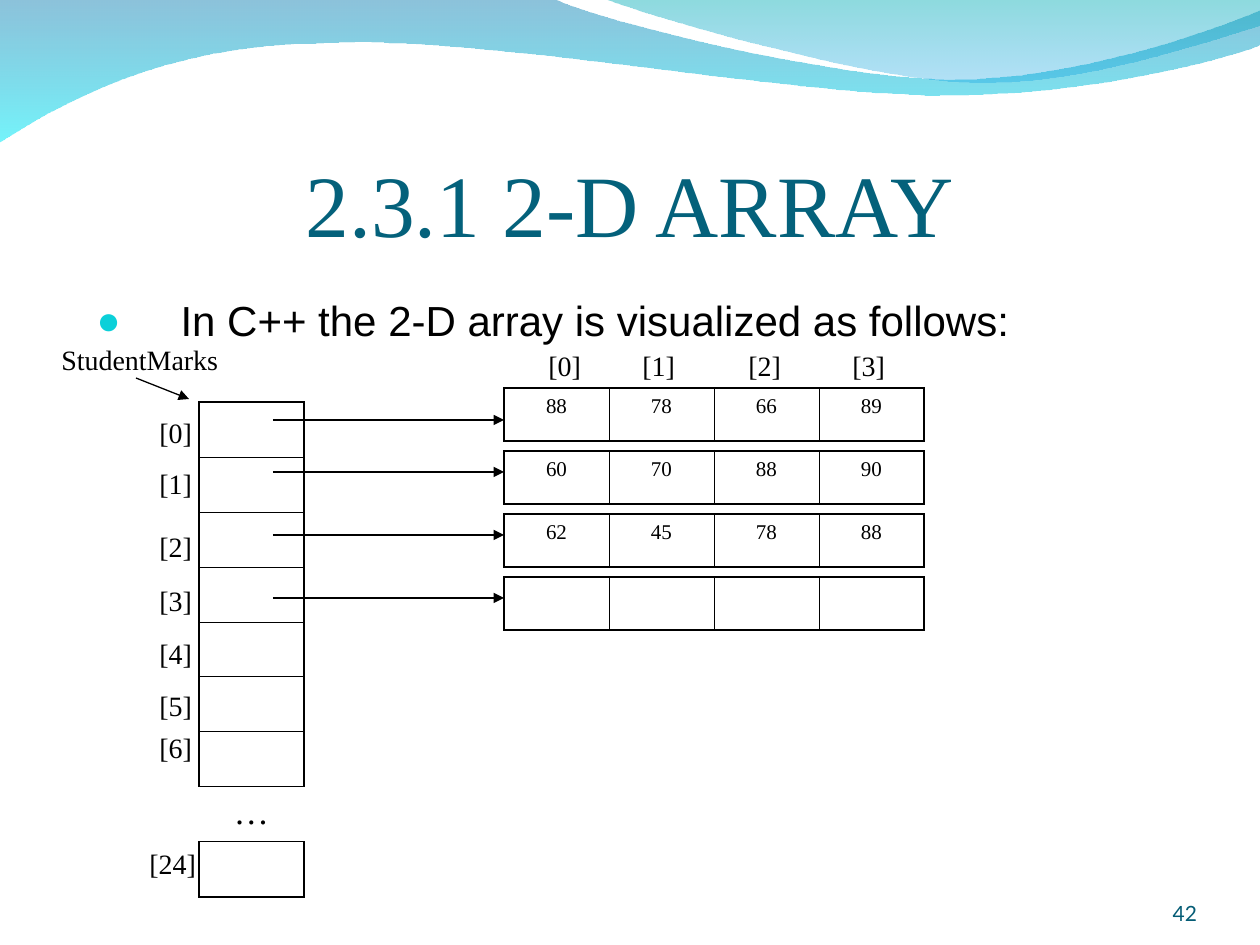
from lxml.etree import SubElement
from pptx import Presentation
from pptx.dml.color import RGBColor
from pptx.enum.shapes import MSO_CONNECTOR
from pptx.enum.text import MSO_ANCHOR, MSO_AUTO_SIZE, PP_ALIGN
from pptx.oxml import parse_xml
from pptx.oxml.ns import nsdecls, qn
from pptx.util import Pt

SCALE = 914400 / 126
BLACK = RGBColor(0x00, 0x00, 0x00)
TEAL = RGBColor(0x04, 0x61, 0x7B)
DEEP = RGBColor(0x04, 0x5C, 0x75)
BLUE = RGBColor(0x00, 0x79, 0xAF)
CYAN = RGBColor(0x00, 0xEB, 0xF8)
GREEN = RGBColor(0x00, 0xAD, 0xB6)
SKY = RGBColor(0x00, 0x9B, 0xE5)
DOT = RGBColor(0x0B, 0xD0, 0xD9)
SERIF = "Times New Roman"
THICK, THIN = 1.08, 0.45
CELL = 105

LOW = [[(555, 0)], [(600, 22), (837, 80), (956, 80)],
       [(1075, 80), (1207, 34), (1261, 12)], [(1262, 46)],
       [(1239, 56), (1096, 97), (941, 96)],
       [(785, 96), (482, 36), (325, 44)], [(163, 45), (59, 106), (0, 143)],
       [(1, 0)]]
HIGH = [[(38, 15), (255, 79), (365, 83)], [(475, 88), (607, 41), (656, 27)],
        [(656, 1)], [(0, 0)]]
MARKS = [("88", "78", "66", "89"), ("60", "70", "88", "90"),
         ("62", "45", "78", "88"), ("", "", "", "")]


def px(*nums):
    return [round(n * SCALE) for n in nums]


def put(item, vals):
    for key, val in vals.items():
        setattr(item, key, val)


def style(para, size, name, color, align=PP_ALIGN.LEFT):
    put(para, {"alignment": align, "space_before": Pt(0)})
    put(para.font, {"size": Pt(size), "name": name})
    para.font.color.rgb = color


def label(slide, box, text):
    frame = slide.shapes.add_textbox(*px(*box)).text_frame
    put(frame, {"text": text, "word_wrap": False,
                "auto_size": MSO_AUTO_SIZE.SHAPE_TO_FIT_TEXT})
    style(frame.paragraphs[0], 16, SERIF, BLACK)


def arrow(slide, start, end):
    line = slide.shapes.add_connector(MSO_CONNECTOR.STRAIGHT, *px(*start, *end))
    line.line.width = Pt(0.75)
    line.line.color.rgb = BLACK
    SubElement(line.line._get_or_add_ln(), qn("a:tailEnd"), type="triangle")
    SubElement(line._element.spPr, qn("a:effectLst"))


def bend(shape, parts):
    lines = iter(list(shape._element.iter(qn("a:lnTo"))))
    for part in parts:
        group = [next(lines) for _ in part]
        if len(part) == 3:
            arc = parse_xml(f'<a:cubicBezTo {nsdecls("a")}/>')
            group[0].addprevious(arc)
            for line in group:
                arc.append(line[0])
                line.getparent().remove(line)


def wave(slide, box, parts, stops):
    left, top = box[:2]
    dots = [px(left + x, top + y) for part in parts for x, y in part]
    form = slide.shapes.build_freeform(*dots[-1])
    form.add_line_segments(dots, close=True)
    shape = form.convert_to_shape()
    bend(shape, parts)
    shape.shadow.inherit = False
    shape.line.fill.background()
    shape.fill.gradient()
    shape.fill.gradient_angle = 270
    for stop, (color, alpha) in zip(shape.fill.gradient_stops, stops):
        stop.color.rgb = color
        tone = stop._gs.find(qn("a:srgbClr"))
        SubElement(tone, qn("a:alpha"), val=str(alpha * 1000))


def place(shape, box):
    put(shape, dict(zip(("left", "top", "width", "height"), px(*box))))


def title(slide, box):
    shape = slide.shapes.title
    place(shape, box)
    put(shape.text_frame, {
        "text": "2.3.1 2-D ARRAY", "auto_size": MSO_AUTO_SIZE.NONE,
        "vertical_anchor": MSO_ANCHOR.BOTTOM, "margin_left": 0,
        "margin_right": 0, "margin_bottom": 0})
    style(shape.text_frame.paragraphs[0], 50, SERIF, TEAL, PP_ALIGN.CENTER)


def body(slide, box):
    shape = slide.placeholders[1]
    place(shape, box)
    put(shape.text_frame, {
        "text": "In C++ the 2-D array is visualized as follows:",
        "auto_size": MSO_AUTO_SIZE.NONE})
    para = shape.text_frame.paragraphs[0]
    props = para._p.get_or_add_pPr()
    dent = px(84)[0]
    put(para, {"line_spacing": 0.9})
    props.set("marL", str(dent))
    props.set("indent", str(-dent))
    SubElement(SubElement(props, qn("a:buClr")), qn("a:srgbClr"), val=str(DOT))
    SubElement(props, qn("a:buSzPct"), val="95000")
    SubElement(props, qn("a:buChar"), char="●")
    style(para, 24, "Arial", BLACK, PP_ALIGN.JUSTIFY)


def border(cell, side, width):
    fill = '<a:solidFill><a:srgbClr val="000000"/></a:solidFill>'
    cell._tc.get_or_add_tcPr().append(parse_xml(
        f'<a:ln{side} {nsdecls("a")} w="{Pt(width or THIN)}">'
        f'{fill if width else "<a:noFill/>"}</a:ln{side}>'))


def grid(slide, box, rows, size, open_row=None):
    high, wide = len(rows), len(rows[0])
    table = slide.shapes.add_table(high, wide, *px(*box)).table
    put(table, {"first_row": False, "horz_banding": False})
    for y, row in enumerate(rows):
        table.rows[y].height = px(box[3] / high)[0]
        for x, text in enumerate(row):
            table.columns[x].width = px(box[2] / wide)[0]
            cell = table.cell(y, x)
            edges = {"L": x == 0, "R": x == wide - 1,
                     "T": y == 0, "B": y == high - 1}
            for side, edge in edges.items():
                bare = y == open_row and side in "LR"
                border(cell, side, 0 if bare else THICK if edge else THIN)
            cell.fill.background()
            if text:
                cell.text = text
                style(cell.text_frame.paragraphs[0], size, SERIF, BLACK,
                      PP_ALIGN.CENTER)


def stack(slide, box):
    left, top = box[:2]
    rows = [[""] for _ in range(7)] + [["…"], [""]]
    grid(slide, box, rows, 20, open_row=7)
    for n, drop in enumerate((7, 58, 121, 175, 228, 280, 322)):
        label(slide, (left - 52, top + drop, 58, 47), f"[{n}]")
    label(slide, (left - 62, top + 438, 72, 47), "[24]")
    label(slide, (left - 150, top - 66, 183, 47), "StudentMarks")
    arrow(slide, (left - 63, top - 24), (left - 10, top - 3))


def lists(slide, box):
    left, top, wide, high = box
    for n, drop in enumerate((32, 84, 147, 210)):
        grid(slide, (left, top + 63 * n, wide, high), [MARKS[n]], 12)
        arrow(slide, (left - 231, top + drop), (left, top + drop))
    for n, shift in enumerate((32, 126, 232, 336)):
        label(slide, (left + shift, top - 46, 58, 47), f"[{n}]")


def number(slide, box):
    frame = slide.shapes.add_textbox(*px(*box)).text_frame
    put(frame, {"text": "42", "word_wrap": True, "margin_left": 0,
                "margin_right": 0, "margin_top": 0, "margin_bottom": 0,
                "vertical_anchor": MSO_ANCHOR.BOTTOM})
    style(frame.paragraphs[0], 12, "Lato", DEEP, PP_ALIGN.RIGHT)


def main():
    deck = Presentation()
    put(deck, dict(zip(("slide_width", "slide_height"), px(1260, 945))))
    slide = deck.slides.add_slide(deck.slide_layouts[1])
    wave(slide, (-1, -1, 1262, 143), LOW, [(BLUE, 45), (CYAN, 55)])
    wave(slide, (604, -1, 656, 88), HIGH, [(GREEN, 45), (SKY, 30)])
    title(slide, (63, 97, 1134, 158))
    body(slide, (84, 294, 1144, 567))
    number(slide, (1092, 876, 105, 50))
    stack(slide, (199, 402, CELL, 495))
    lists(slide, (504, 388, 4 * CELL, 53))
    deck.save("out.pptx")


if __name__ == "__main__":
    main()
